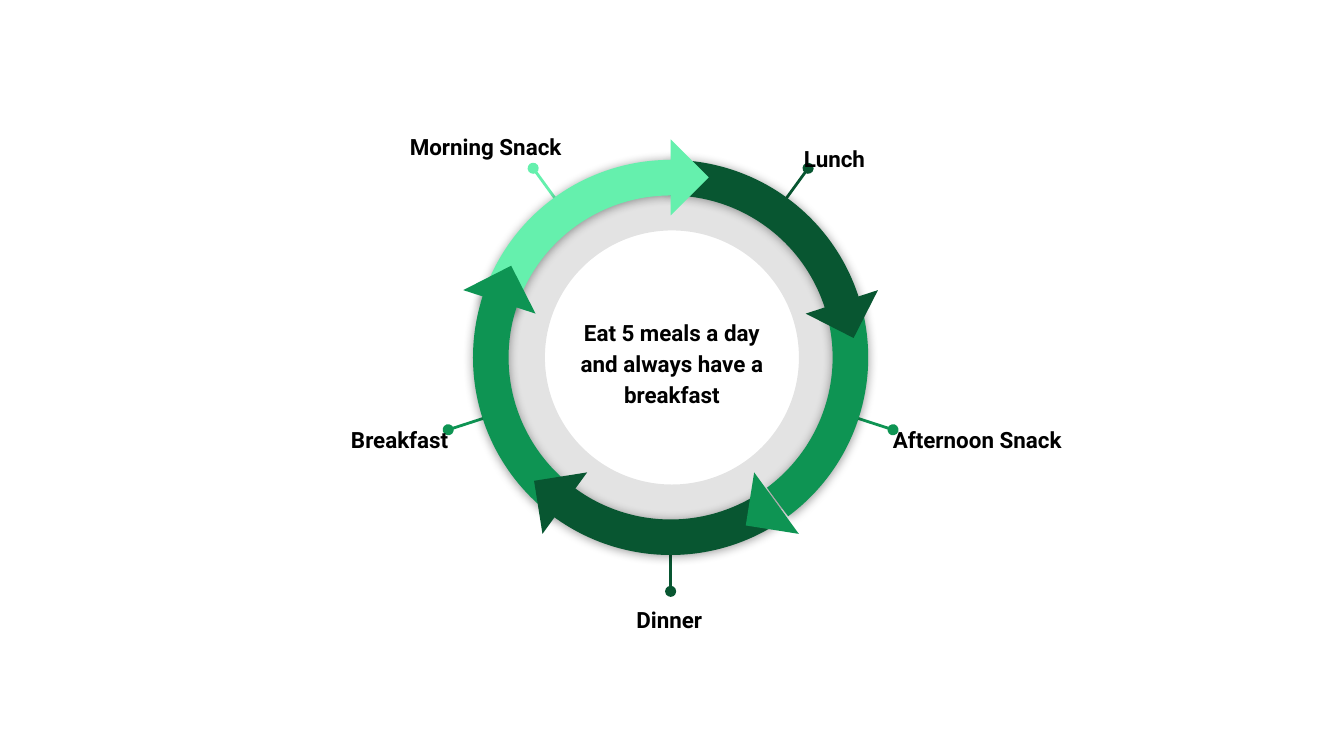
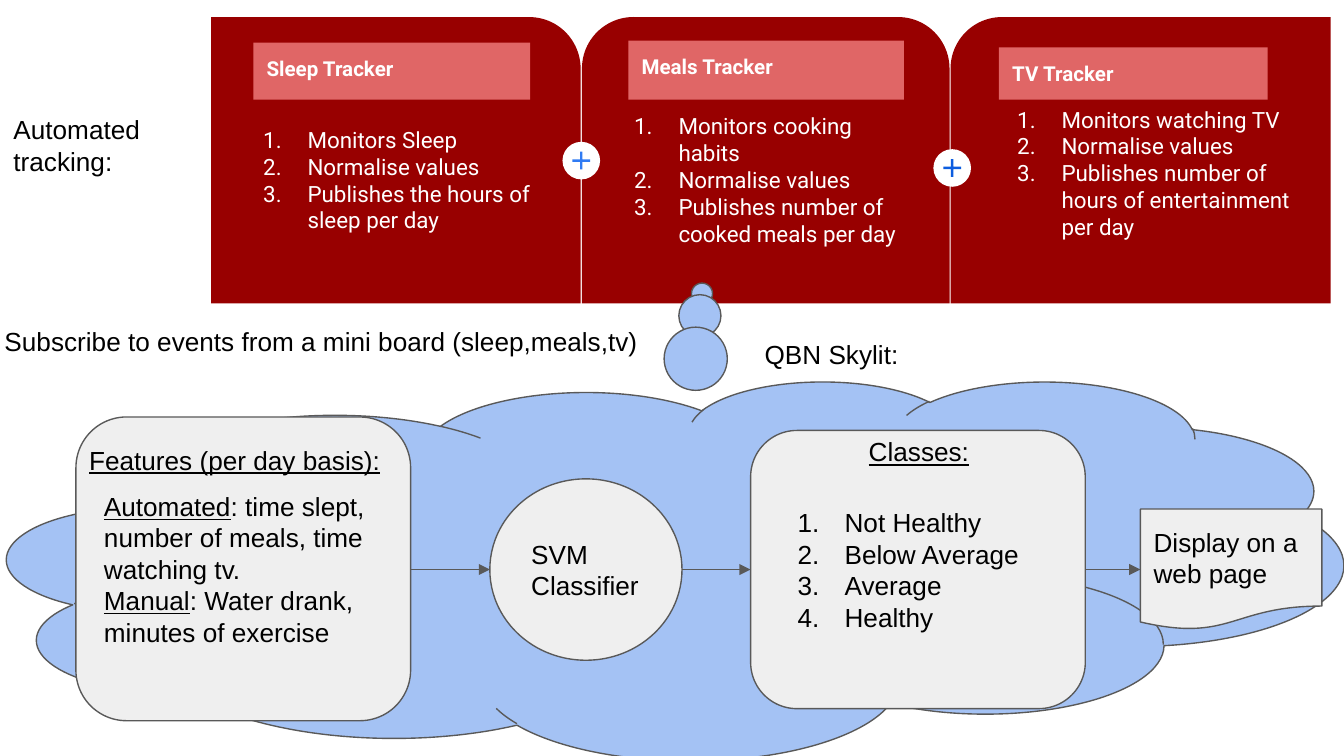
import math

import lxml.etree
import pptx
import pptx.dml.color
import pptx.enum.shapes
import pptx.enum.text
import pptx.oxml.ns
import pptx.util

HUE = {
    "dark": "085631", "green": "0E9453", "mint": "65F0AD",
    "black": "000000", "white": "FFFFFF", "gray": "595959", "pale": "EFEFEF",
    "red": "980000", "rose": "E06666", "sky": "A4C2F4",
    "blue": "307BF3", "deep": "0D5DDF",
}
HEAD, BODY = "Roboto", "Arial"
KIND = pptx.enum.shapes.MSO_SHAPE
ALIGN = pptx.enum.text.PP_ALIGN
TOP = pptx.enum.text.MSO_ANCHOR.TOP
MID = pptx.enum.text.MSO_ANCHOR.MIDDLE

# A 16:9 slide on a grid of square cells, 100 columns wide
WIDE = pptx.util.Inches(10)
HIGH = WIDE * 9 // 16
CELL = WIDE / 100


def rgb(name):
    return pptx.dml.color.RGBColor.from_string(HUE[name])


def sub(node, tag, **attrs):
    return lxml.etree.SubElement(node, pptx.oxml.ns.qn(tag), attrs)


def scale(values):
    return [round(v * CELL) for v in values]


def inner(box, part):
    """Shift a part, given from the corner of a box, to slide columns and rows."""
    return box[0] + part[0], box[1] + part[1], part[2], part[3]


def round_at(x, y, size):
    return x - size / 2, y - size / 2, size, size


def polar(hub, far, angle):
    turn = math.radians(angle)
    return hub[0] + far * math.cos(turn), hub[1] + far * math.sin(turn)


# Basic parts

def shape(slide, kind, box, fill, edge=None, adj=(), rot=0):
    item = slide.shapes.add_shape(kind, *scale(box))
    item.shadow.inherit = False
    item.fill.solid()
    item.fill.fore_color.rgb = rgb(fill)
    if edge:
        item.line.color.rgb = rgb(edge)
        item.line.width = pptx.util.Pt(0.75)
    else:
        item.line.fill.background()
    for i, value in enumerate(adj):
        item.adjustments[i] = value
    item.rotation = rot
    return item


def line(slide, start, end, hue, width, mark, form):
    straight = pptx.enum.shapes.MSO_CONNECTOR.STRAIGHT
    item = slide.shapes.add_connector(straight, *scale((*start, *end)))
    item.line.color.rgb = rgb(hue)
    item.line.width = pptx.util.Pt(width)
    sub(item.line._get_or_add_ln(), mark, type=form)
    sub(item.element.spPr, "a:effectLst")


def number(para, hue, hang):
    props = para._p.get_or_add_pPr()
    props.set("marL", str(pptx.util.Inches(0.5)))
    props.set("indent", str(-pptx.util.Inches(hang)))
    sub(sub(props, "a:buClr"), "a:srgbClr", val=HUE[hue])
    sub(props, "a:buAutoNum", type="arabicPeriod")


def write(item, paras, size=14, font=BODY, hue="black", bold=False,
          align=ALIGN.LEFT, anchor=TOP, hang=0, space=1.0):
    """Fill a shape; a paragraph is a string or a list of (text, underlined)."""
    frame = item.text_frame
    frame.word_wrap = True
    frame.auto_size = pptx.enum.text.MSO_AUTO_SIZE.NONE
    frame.vertical_anchor = anchor
    for side in ("left", "right", "top", "bottom"):
        setattr(frame, "margin_" + side, pptx.util.Inches(0.1))
    for i, runs in enumerate(paras):
        para = frame.add_paragraph() if i else frame.paragraphs[0]
        if hang:
            number(para, hue, hang)
        para.alignment = align
        para.line_spacing = space
        para.font.size = pptx.util.Pt(size)
        para.font.name = font
        para.font.bold = bold
        para.font.color.rgb = rgb(hue)
        for text, under in [(runs, False)] if isinstance(runs, str) else runs:
            run = para.add_run()
            run.text = text
            if under:
                run.font.underline = True


def label(slide, box, paras, **style):
    write(slide.shapes.add_textbox(*scale(box)), paras, **style)


def title(slide, box, text, **style):
    item = slide.shapes.title
    item.left, item.top, item.width, item.height = scale(box)
    write(item, [text], **style)


# Slide 1: wheel of meals

STEP = 72
BOLD = dict(size=12, font=HEAD, bold=True, space=1.15)
# name, hue, arc's ends, shift of label from spoke's tip, alignment; clockwise
MEALS = [
    ("Lunch", "dark", (270, 346.5), (-1.3, -3), ALIGN.LEFT),
    ("Afternoon Snack", "green", (346, 53.5), (-1, -1.6), ALIGN.LEFT),
    ("Dinner", "dark", (56.5, 127.5), (-8.3, -0.2), ALIGN.CENTER),
    ("Breakfast", "green", (126.5, 200), (-15.4, -1.6), ALIGN.RIGHT),
    ("Morning Snack", "mint", (196, 271), (-13.3, -3.9), ALIGN.RIGHT),
]


def arc(slide, hub, ends, hue):
    adj = [angle * 0.6 for angle in ends] + [0.09]
    item = shape(slide, KIND.BLOCK_ARC, round_at(*hub, 29.4), hue, adj=adj)
    glow = sub(item.element.spPr.find(pptx.oxml.ns.qn("a:effectLst")), "a:outerShdw",
               blurRad=str(pptx.util.Pt(5.6)), dist=str(pptx.util.Pt(0.8)),
               dir="5400000", rotWithShape="0")
    sub(sub(glow, "a:srgbClr", val=HUE["black"]), "a:alpha", val="40000")


def wheel(slide, box):
    hub = box[0] + box[2] / 2 - 0.1, box[1] + box[3] / 2
    ring = shape(slide, KIND.DONUT, box, "black", adj=[0.16])
    tint = next(ring.element.spPr.iter(pptx.oxml.ns.qn("a:srgbClr")))
    sub(tint, "a:alpha", val="11000")

    # Spokes and labels
    for i, (name, hue, _, shift, align) in enumerate(MEALS):
        angle = -54 + STEP * i
        tip = polar(hub, 17.4, angle)
        line(slide, tip, polar(hub, 12.1, angle), hue, 1.5, "a:headEnd", "oval")
        label(slide, inner(tip, (*shift, 16.4, 7.3)), [name], align=align, **BOLD)

    # Arcs, each over the next one's start, then arrowheads over the joints
    for i in (0, 1, 4, 3, 2):
        arc(slide, hub, MEALS[i][2], MEALS[i][1])
    for i, meal in enumerate(MEALS):
        spot = polar(hub, 13.4, -18 + STEP * i)
        shape(slide, KIND.RIGHT_TRIANGLE, round_at(*spot, 4), meal[1],
              rot=(297 + STEP * i) % 360)

    title(slide, inner(box, (6, 9.8, 15.8, 8.8)),
          "Eat 5 meals a day and always have a breakfast",
          align=ALIGN.CENTER, anchor=MID, **BOLD)


# Slide 2: trackers feeding a classifier

# name, card kind, card left and width, bar, list box (both from the card), items
CARDS = [
    ("Sleep Tracker", KIND.ROUND_1_RECTANGLE, 15.7, 27.5,
     (3.15, 1.9, 20.6, 4.25), (1.2, 7.1, 23.7, 12.4),
     ["Monitors Sleep", "Normalise values", "Publishes the hours of sleep per day"]),
    ("Meals Tracker", KIND.ROUND_2_SAME_RECTANGLE, 43.3, 27.35,
     (3.45, 1.75, 20.5, 4.4), (1.2, 6.1, 24.5, 13.5),
     ["Monitors cooking habits", "Normalise values",
      "Publishes number of cooked meals per day"]),
    ("TV Tracker", KIND.ROUND_1_RECTANGLE, 70.73, 28.27,
     (3.6, 2.25, 20, 3.9), (2.27, 5.6, 24.9, 14.3),
     ["Monitors watching TV", "Normalise values",
      "Publishes number of hours of entertainment per day"]),
]


def cards(slide, top, high):
    for i, (name, kind, left, wide, bar, area, items) in enumerate(CARDS):
        box = left, top, wide, high
        card = shape(slide, kind, box, "red", adj=[0.18])
        if i == len(CARDS) - 1:
            card.element.spPr.find(pptx.oxml.ns.qn("a:xfrm")).set("flipH", "1")
        write(shape(slide, KIND.RECTANGLE, inner(box, bar), "rose"), [name],
              size=11, font=HEAD, hue="white", bold=True)
        label(slide, inner(box, area), items, size=12, font=HEAD, hue="white", hang=0.33)


def badge(slide, x, y, hue):
    shape(slide, KIND.OVAL, round_at(x, y, 2.8), "white")
    shape(slide, KIND.MATH_PLUS, round_at(x, y, 1.8), hue, adj=[0.1])


def flow(slide, box):
    shape(slide, KIND.CLOUD_CALLOUT, box, "sky", "gray", adj=[0.02, -0.73])
    # kind, box from the cloud's corner, text, hang of numbers
    steps = [
        (KIND.ROUNDED_RECTANGLE, (5.1, 2.7, 24.9, 22.6),
         [[("Automated", True), (": time slept, number of meals, time watching tv.", False)],
          [("Manual", True), (": Water drank, minutes of exercise", False)]], 0),
        (KIND.OVAL, (35.9, 7.3, 14.3, 13.5), ["SVM Classifier"], 0),
        (KIND.ROUNDED_RECTANGLE, (55.3, 3.7, 24.9, 20.7),
         ["Not Healthy", "Below Average", "Average", "Healthy"], 0.35),
        (KIND.FLOWCHART_DOCUMENT, (84.3, 9.55, 13.5, 9), ["Display on a web page"], 0),
    ]
    spots = [inner(box, step[1]) for step in steps]
    for (kind, _, paras, hang), spot in zip(steps, spots):
        write(shape(slide, kind, spot, "pale", "gray"), paras, anchor=MID, hang=hang)

    # Arrows on one level from each step to the next
    level = box[1] + 14.05
    for a, b in zip(spots, spots[1:]):
        line(slide, (a[0] + a[2], level), (b[0], level), "gray", 0.75,
             "a:tailEnd", "triangle")

    # Headings of the two large steps
    for part, text in [((5.1, 3.7, 29.6, 6.3), "Features (per day basis):"),
                       ((63.1, 3.1, 15.1, 6.3), "Classes:")]:
        label(slide, inner(box, part), [[(text, True)]])


def tracking(slide):
    title(slide, (0, 7.45, 15.7, 12.4), "Automated tracking:")
    cards(slide, 1.27, 21.3)
    flow(slide, (0.55, 28.33, 99.4, 28.2))
    badge(slide, 43.25, 11.95, "blue")
    badge(slide, 70.85, 12.5, "deep")
    label(slide, (-0.65, 23.2, 49.8, 5.4),
          ["Subscribe to events from a mini board (sleep,meals,tv)"])
    label(slide, (55.9, 24.2, 13.5, 9.4), ["QBN Skylit:"])


def main():
    deck = pptx.Presentation()
    deck.slide_width, deck.slide_height = WIDE, HIGH
    plain = deck.slide_layouts[5]
    wheel(deck.slides.add_slide(plain), (36.1, 12.7, 27.8, 27.8))
    tracking(deck.slides.add_slide(plain))
    deck.save("out.pptx")


if __name__ == "__main__":
    main()
